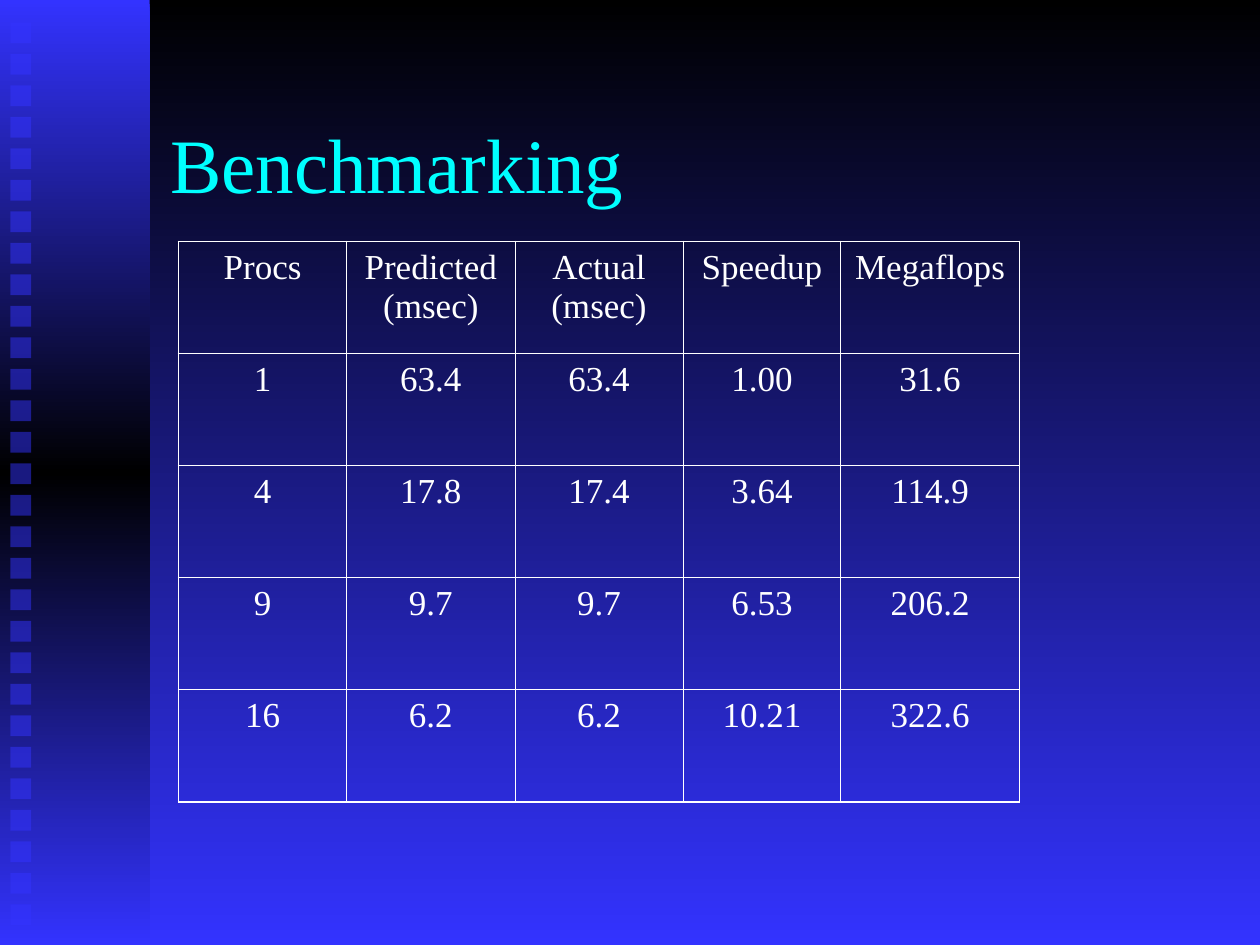
import lxml.etree as etree
import pptx
import pptx.dml.color
import pptx.enum.shapes
import pptx.enum.text
import pptx.oxml.ns
import pptx.util

Cm = pptx.util.Cm
Pt = pptx.util.Pt
qn = pptx.oxml.ns.qn
Align = pptx.enum.text.PP_ALIGN
Anchor = pptx.enum.text.MSO_ANCHOR

BLACK, BLUE, CYAN, WHITE = "000000", "3333FF", "00FFFF", "FFFFFF"
ROWS = [
    ["Procs", "Predicted\v(msec)", "Actual (msec)", "Speedup", "Megaflops"],
    ["1", "63.4", "63.4", "1.00", "31.6"],
    ["4", "17.8", "17.4", "3.64", "114.9"],
    ["9", "9.7", "9.7", "6.53", "206.2"],
    ["16", "6.2", "6.2", "10.21", "322.6"],
]
COLUMN_WIDTHS = [3.39, 3.39, 3.39, 3.18, 3.6]


def color(value):
    return pptx.dml.color.RGBColor.from_string(value)


def write(frame, text, size=20, fill=WHITE, align=Align.LEFT, font="Times New Roman"):
    frame.word_wrap = True
    para = frame.paragraphs[0]
    para.text = text
    para.alignment = align
    para.space_before = Pt(0)
    for span in para.runs:
        span.font.name = font
        span.font.size = Pt(size)
        span.font.color.rgb = color(fill)


def fade_down(fill, element, colors):
    """Give the fill inside element a vertical gradient with evenly spaced colours."""
    fill.gradient()
    fill.gradient_angle = 270
    stops = next(element.iter(qn("a:gsLst")))
    for stop in list(stops):
        stops.remove(stop)
    for index, value in enumerate(colors):
        position = 100000 * index // (len(colors) - 1)
        stop = etree.SubElement(stops, qn("a:gs"), pos=str(position))
        etree.SubElement(stop, qn("a:srgbClr"), val=value)


def add_border(cell, side, width, line_color):
    line = etree.SubElement(cell._tc.get_or_add_tcPr(), qn(f"a:ln{side}"), w=str(Pt(width)))
    solid = etree.SubElement(line, qn("a:solidFill"))
    etree.SubElement(solid, qn("a:srgbClr"), val=line_color)


class SlideBuilder:
    def __init__(self, deck):
        self.inner_line, self.outer_line = 0.45, 1.08
        self.page = deck.slides.add_slide(deck.slide_layouts[5])

    def background(self, colors):
        fade_down(self.page.background.fill, self.page.element, colors)

    def rectangle(self, left, top, width, height):
        box = self.page.shapes.add_shape(
            pptx.enum.shapes.MSO_SHAPE.RECTANGLE, Cm(left), Cm(top), Cm(width), Cm(height)
        )
        box.shadow.inherit = False
        box.line.fill.background()
        return box

    def band(self, width, height, colors):
        box = self.rectangle(0, 0, width, height)
        fade_down(box.fill, box.element, colors)

    def square(self, left, top, side, fill, opacity):
        box = self.rectangle(left, top, side, side)
        box.fill.solid()
        box.fill.fore_color.rgb = color(fill)
        tint = next(box.element.spPr.iter(qn("a:srgbClr")))
        etree.SubElement(tint, qn("a:alpha"), val=str(opacity * 1000))

    def title(self, text, left, top, width, height):
        box = self.page.shapes.title
        box.left, box.top, box.width, box.height = Cm(left), Cm(top), Cm(width), Cm(height)
        box.text_frame.vertical_anchor = Anchor.MIDDLE
        box.text_frame.auto_size = pptx.enum.text.MSO_AUTO_SIZE.NONE
        write(box.text_frame, text, size=44, fill=CYAN)
        box.element.getparent().append(box.element)  # in front of the band

    def table(self, rows, widths, left, top, row_height):
        last_row, last_column = len(rows) - 1, len(widths) - 1
        table = self.page.shapes.add_table(
            len(rows), len(widths), Cm(left), Cm(top),
            Cm(sum(widths)), Cm(row_height * len(rows)),
        ).table
        table.first_row = table.horz_banding = False
        for column, width in zip(table.columns, widths):
            column.width = Cm(width)
        for r, texts in enumerate(rows):
            table.rows[r].height = Cm(row_height)
            for c, text in enumerate(texts):
                cell = table.cell(r, c)
                write(cell.text_frame, text, align=Align.CENTER)
                edges = {"L": c == 0, "R": c == last_column, "T": r == 0, "B": r == last_row}
                for side, outer in edges.items():
                    add_border(cell, side, self.outer_line if outer else self.inner_line, WHITE)
                cell.fill.background()


def main():
    deck = pptx.Presentation()
    deck.slide_width, deck.slide_height = Cm(25.4), Cm(19.05)
    slide = SlideBuilder(deck)
    slide.background([BLACK, BLUE])
    slide.band(3.02, 19.05, [BLUE, BLACK, BLUE])
    square_count, first_top, last_top = 29, 0.45, 18.23
    step = (last_top - first_top) / (square_count - 1)
    for index in range(square_count):
        slide.square(0.21, first_top + index * step, 0.42, BLUE, opacity=50)
    slide.title("Benchmarking", 3.18, 1.69, 21.59, 3.18)
    slide.table(ROWS, COLUMN_WIDTHS, 3.6, 4.87, row_height=2.26)
    deck.save("out.pptx")


if __name__ == "__main__":
    main()
